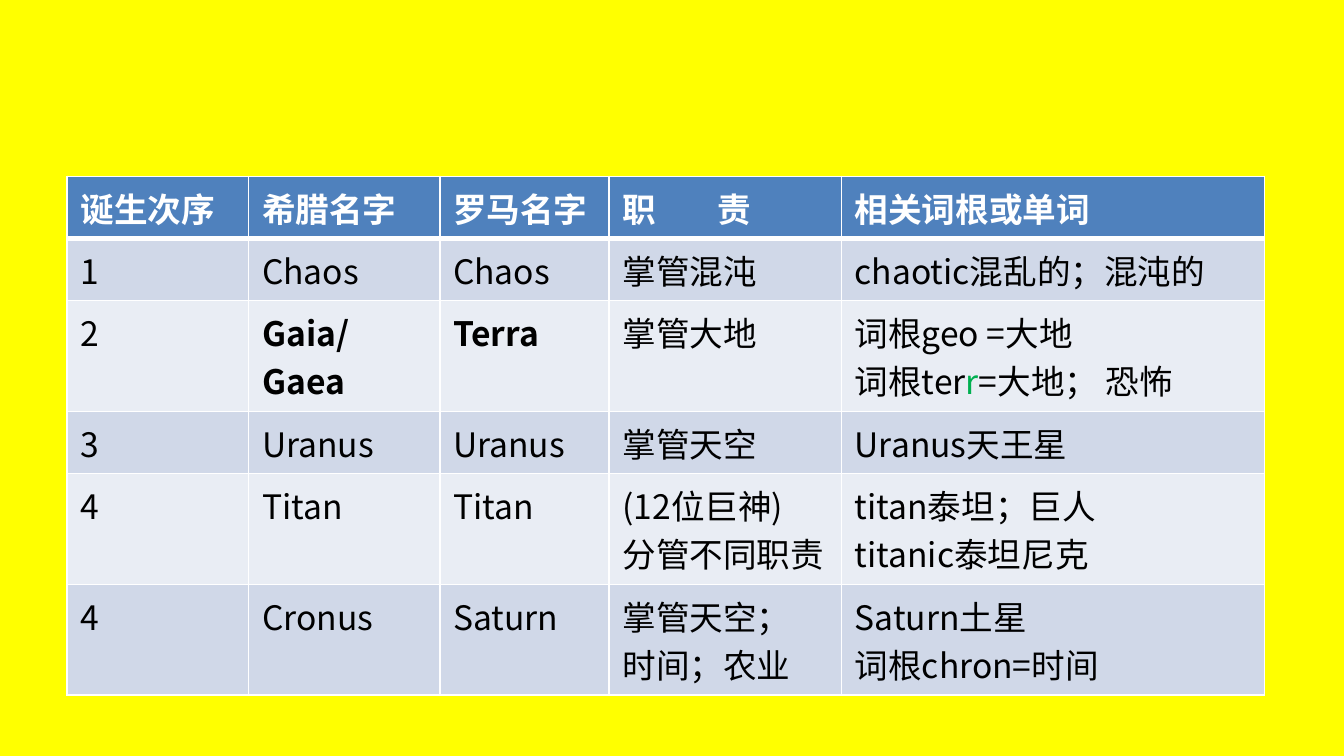
from lxml.etree import SubElement
from pptx import Presentation
from pptx.dml.color import RGBColor
from pptx.oxml.ns import qn
from pptx.util import Cm, Pt

# Content: one list per row; a cell holds lines, a line is text or coloured parts
WHITE = RGBColor(0xFF, 0xFF, 0xFF)
BLACK = RGBColor(0x00, 0x00, 0x00)
GREEN = RGBColor(0x00, 0xB0, 0x50)
YELLOW = RGBColor(0xFF, 0xFF, 0x00)
HEADER_BLUE = RGBColor(0x4F, 0x81, 0xBD)
BANDS = [RGBColor(0xD0, 0xD8, 0xE8), RGBColor(0xE9, 0xED, 0xF4)]

HEADINGS = ["诞生次序", "希腊名字", "罗马名字", "职\t责", "相关词根或单词"]
GODS = [
    ["1", "Chaos", "Chaos", "掌管混沌", "chaotic混乱的；混沌的"],
    ["2", "Gaia/Gaea", "Terra", "掌管大地",
     ["词根geo =大地", [("词根ter", BLACK), ("r", GREEN), ("=大地； 恐怖", BLACK)]]],
    ["3", "Uranus", "Uranus", "掌管天空", "Uranus天王星"],
    ["4", "Titan", "Titan", ["(12位巨神)", "分管不同职责"],
     ["titan泰坦；巨人", "titanic泰坦尼克"]],
    ["4", "Cronus", "Saturn", ["掌管天空；", "时间；农业"],
     ["Saturn土星", "词根chron=时间"]],
]
BOLD_NAMES = {"Gaia/Gaea", "Terra"}

# Layout
LEFT, TOP = Cm(1.27), Cm(3.33)
COLUMN_WIDTHS = [Cm(3.43), Cm(3.61), Cm(3.2), Cm(4.39), Cm(8)]
ROW_HEIGHT = Cm(1.14)
DUTY_TAB = Cm(1.8)
TYPEFACE = "Noto Sans CJK SC"
TEXT_FORMAT = {"name": TYPEFACE, "size": Pt(18)}


def add_borders(cell, bottom):
    properties = cell._tc.get_or_add_tcPr()
    for side, width in (("lnL", 1), ("lnR", 1), ("lnT", 1), ("lnB", bottom)):
        line = SubElement(properties, qn(f"a:{side}"), w=str(Pt(width)))
        fill = SubElement(line, qn("a:solidFill"))
        SubElement(fill, qn("a:srgbClr"), val=str(WHITE))


def add_tab_stop(paragraph):
    stops = SubElement(paragraph._p.get_or_add_pPr(), qn("a:tabLst"))
    SubElement(stops, qn("a:tab"), pos=str(DUTY_TAB), algn="l")


def write_line(paragraph, line, color, bold):
    parts = [(line, color)] if isinstance(line, str) else line
    for words, part_color in parts:
        run = paragraph.add_run()
        run.text = words
        for attribute, value in {**TEXT_FORMAT, "bold": bold}.items():
            setattr(run.font, attribute, value)
        run.font.color.rgb = part_color
        SubElement(run._r.get_or_add_rPr(), qn("a:ea"), typeface=TYPEFACE)
        if "\t" in words:
            add_tab_stop(paragraph)


def fill_cell(cell, content, color, background, bold, bottom=1):
    add_borders(cell, bottom)
    cell.fill.solid()
    cell.fill.fore_color.rgb = background
    lines = [content] if isinstance(content, str) else content
    for number, line in enumerate(lines):
        frame = cell.text_frame
        paragraph = frame.add_paragraph() if number else frame.paragraphs[0]
        write_line(paragraph, line, color, bold)


# Slide and background
deck = Presentation()
deck.slide_width, deck.slide_height = Cm(25.4), Cm(14.28)
slide = deck.slides.add_slide(deck.slide_layouts[6])
slide.background.fill.solid()
slide.background.fill.fore_color.rgb = YELLOW

# Table of gods
row_count = len(GODS) + 1
gods_table = slide.shapes.add_table(
    row_count, len(HEADINGS), LEFT, TOP,
    sum(COLUMN_WIDTHS), ROW_HEIGHT * row_count).table
for column, width in zip(gods_table.columns, COLUMN_WIDTHS):
    column.width = width

for column, heading in enumerate(HEADINGS):
    fill_cell(gods_table.cell(0, column), heading, WHITE, HEADER_BLUE, True, bottom=3)
for row, god in enumerate(GODS):
    for column, content in enumerate(god):
        bold = isinstance(content, str) and content in BOLD_NAMES
        fill_cell(gods_table.cell(row + 1, column), content, BLACK,
                  BANDS[row % 2], bold)

deck.save("out.pptx")
